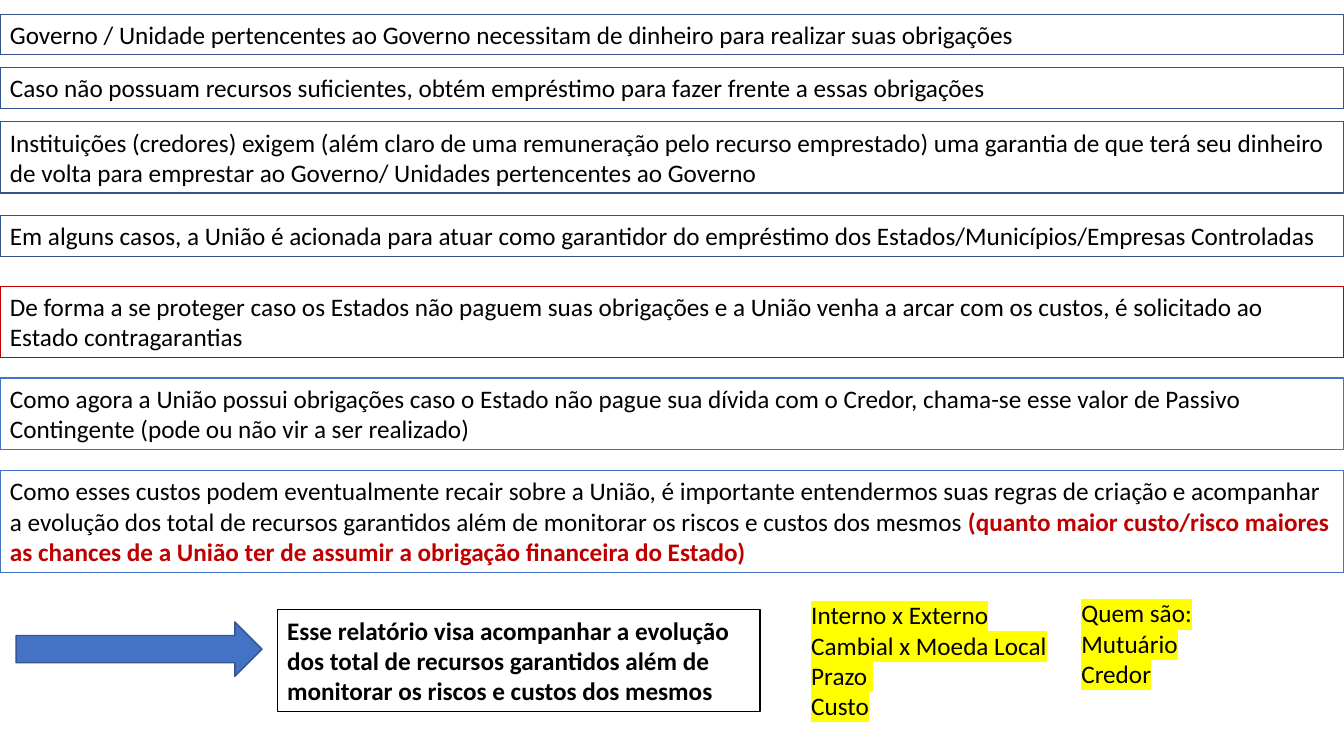
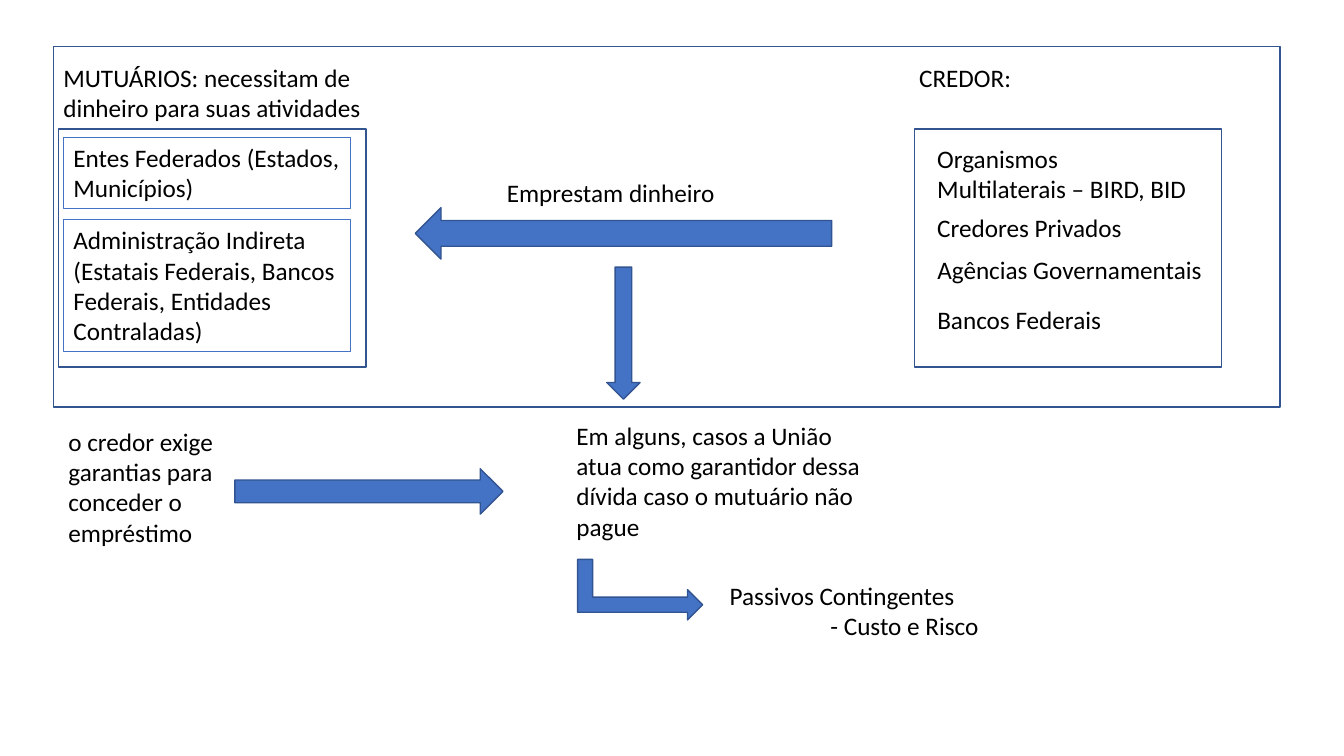
from dataclasses import dataclass

from lxml import etree
from pptx import Presentation
from pptx.dml.color import RGBColor
from pptx.enum.shapes import MSO_SHAPE
from pptx.enum.text import MSO_AUTO_SIZE
from pptx.oxml.ns import qn
from pptx.util import Emu, Inches, Pt

RECTANGLE = MSO_SHAPE.RECTANGLE
RIGHT_ARROW = MSO_SHAPE.RIGHT_ARROW
DOWN_ARROW = MSO_SHAPE.DOWN_ARROW
BENT_ARROW = MSO_SHAPE.BENT_UP_ARROW
FIT_TEXT = MSO_AUTO_SIZE.SHAPE_TO_FIT_TEXT

COLORS = {
    "text": "000000",
    "white": "FFFFFF",
    "blue": "4472C4",
    "navy": "325491",
    "red": "C00000",
    "yellow": "FFFF00",
}
FONT = "Calibri"
FONT_SIZE = 18
BLANK_LAYOUT = 6

# The slide is a grid of 40 columns and 30 rows.
COLUMNS, ROWS = 40, 30
SLIDE_WIDTH, SLIDE_HEIGHT = Emu(12192000), Inches(7.5)
COLUMN, ROW = SLIDE_WIDTH / COLUMNS, SLIDE_HEIGHT / ROWS
LINE_HEIGHT = Pt(FONT_SIZE * 1.21)
TEXT_PADDING = Inches(0.1)


@dataclass(frozen=True)
class Run:
    text: str
    color: str = "text"
    bold: bool = False
    highlight: str | None = None


@dataclass(frozen=True)
class Paragraph:
    runs: tuple[Run, ...]
    indent: float = 0


@dataclass(frozen=True)
class TextBox:
    """Its height follows from the number of text lines."""
    left: float
    top: float
    width: float
    lines: int
    paragraphs: tuple[Paragraph, ...]
    outline: str | None = None
    fill: str | None = None


@dataclass(frozen=True)
class Block:
    """A preset shape without text."""
    left: float
    top: float
    width: float
    height: float
    preset: int = RECTANGLE
    rotation: int = 0
    fill: str | None = "blue"


def rgb(name: str) -> RGBColor:
    return RGBColor.from_string(COLORS[name])


def plain(*texts: str, **style) -> tuple[Paragraph, ...]:
    """Make one paragraph of each text, all in the same style."""
    return tuple(Paragraph((Run(text, **style),)) for text in texts)


def add_run(paragraph, text: str, *, color: str = "text", bold: bool = False,
            highlight: str | None = None) -> None:
    run = paragraph.add_run()
    run.text = text
    font = run.font
    font.name, font.size, font.bold = FONT, Pt(FONT_SIZE), bold
    font.color.rgb = rgb(color)
    if highlight:
        marker = etree.Element(qn("a:highlight"))
        etree.SubElement(marker, qn("a:srgbClr"), val=COLORS[highlight])
        run._r.get_or_add_rPr().find(qn("a:solidFill")).addnext(marker)


def paint(shape, fill: str | None, outline: str | None, weight: float) -> None:
    if fill:
        shape.fill.solid()
        shape.fill.fore_color.rgb = rgb(fill)
    else:
        shape.fill.background()
    if outline:
        shape.line.color.rgb = rgb(outline)
        shape.line.width = Pt(weight)
    else:
        shape.line.fill.background()


def draw_text_box(slide, box: TextBox) -> None:
    shape = slide.shapes.add_textbox(
        round(box.left * COLUMN), round(box.top * ROW),
        round(box.width * COLUMN), TEXT_PADDING + box.lines * LINE_HEIGHT)
    paint(shape, box.fill, box.outline, 0.75)
    frame = shape.text_frame
    frame.word_wrap = True
    frame.auto_size = FIT_TEXT
    for index, content in enumerate(box.paragraphs):
        paragraph = frame.add_paragraph() if index else frame.paragraphs[0]
        if content.indent:
            indent = round(content.indent * COLUMN)
            paragraph._p.get_or_add_pPr().set("marL", str(indent))
        for run in content.runs:
            add_run(paragraph, run.text, color=run.color, bold=run.bold,
                    highlight=run.highlight)


def draw_block(slide, block: Block) -> None:
    shape = slide.shapes.add_shape(
        block.preset, round(block.left * COLUMN), round(block.top * ROW),
        round(block.width * COLUMN), round(block.height * ROW))
    shape.rotation = block.rotation
    shape.shadow.inherit = False
    paint(shape, block.fill, "navy", 1)


def statement(top: float, lines: int, outline: str, *runs: Run,
              fill: str | None = None) -> TextBox:
    """Make a text band as wide as the slide."""
    return TextBox(0, top, COLUMNS, lines, (Paragraph(runs),), outline, fill)


REASONING = (
    statement(0.56, 1, "navy", Run(
        "Governo / Unidade pertencentes ao Governo necessitam de dinheiro "
        "para realizar suas obrigações"), fill="white"),
    statement(2.68, 1, "navy", Run(
        "Caso não possuam recursos suficientes, obtém empréstimo para fazer "
        "frente a essas obrigações")),
    statement(4.84, 2, "navy", Run(
        "Instituições (credores) exigem (além claro de uma remuneração pelo "
        "recurso emprestado) uma garantia de que terá seu dinheiro de volta "
        "para emprestar ao Governo/ Unidades pertencentes ao Governo")),
    statement(8.56, 1, "navy", Run(
        "Em alguns casos, a União é acionada para atuar como garantidor do "
        "empréstimo dos Estados/Municípios/Empresas Controladas")),
    statement(11.36, 2, "red", Run(
        "De forma a se proteger caso os Estados não paguem suas obrigações e "
        "a União venha a arcar com os custos, é solicitado ao Estado "
        "contragarantias")),
    statement(15, 2, "blue", Run(
        "Como agora a União possui obrigações caso o Estado não pague sua "
        "dívida com o Credor, chama-se esse valor de Passivo Contingente "
        "(pode ou não vir a ser realizado)")),
    statement(18.68, 3, "blue", Run(
        "Como esses custos podem eventualmente recair sobre a União, é "
        "importante entendermos suas regras de criação e acompanhar a "
        "evolução dos total de recursos garantidos além de monitorar os "
        "riscos e custos dos mesmos "), Run(
        "(quanto maior custo/risco maiores as chances de a União ter de "
        "assumir a obrigação financeira do Estado)", "red", True)),
    TextBox(8.25, 24.2, 14.37, 3, plain(
        "Esse relatório visa acompanhar a evolução dos total de recursos "
        "garantidos além de monitorar os riscos e custos dos mesmos",
        bold=True), "text"),
    TextBox(23.85, 23.6, 7.62, 4, plain(
        "Interno x Externo", "Cambial x Moeda Local", "Prazo ", "Custo",
        highlight="yellow")),
    TextBox(31.89, 23.52, 7.62, 3, plain(
        "Quem são:", "Mutuário", "Credor", highlight="yellow")),
)
REPORT_ARROW = (Block(0.48, 24.68, 7.32, 2.16, RIGHT_ARROW),)

BORROWER_LEFT, LENDER_LEFT = 1.74, 27.21
PANEL_TOP, PANEL_WIDTH, PANEL_HEIGHT = 5.12, 9.15, 9.44
HEADING_TOP, HEADING_WIDTH, HEADING_SHIFT = 2.28, 9.69, 0.15
BORROWER_ITEM_LEFT, BORROWER_ITEM_WIDTH = 1.89, 8.55
LENDER_ITEM_LEFT = 27.6

LOAN_BLOCKS = (
    Block(1.59, 1.84, 36.51, 14.32, fill=None),
    *(Block(left, PANEL_TOP, PANEL_WIDTH, PANEL_HEIGHT, fill=None)
      for left in (BORROWER_LEFT, LENDER_LEFT)),
    Block(12.36, 8.24, 12.39, 2.04, RIGHT_ARROW, 180),
    Block(18.06, 10.6, 0.99, 5.24, DOWN_ARROW),
    Block(18.15, 20.92, 1.8, 4.96, BENT_ARROW, 90),
    Block(6.99, 18.6, 7.98, 1.8, RIGHT_ARROW),
)
LOAN_TEXTS = (
    *(TextBox(left - HEADING_SHIFT, HEADING_TOP, HEADING_WIDTH, lines, plain(text))
      for left, lines, text in (
          (BORROWER_LEFT, 2, "MUTUÁRIOS: necessitam de dinheiro para suas atividades"),
          (LENDER_LEFT, 1, "CREDOR:"))),
    *(TextBox(BORROWER_ITEM_LEFT, top, BORROWER_ITEM_WIDTH, lines, plain(text), "blue")
      for top, lines, text in (
          (5.44, 2, "Entes Federados (Estados, Municípios)"),
          (8.72, 4, "Administração Indireta (Estatais Federais, Bancos "
                    "Federais, Entidades Contraladas)"))),
    *(TextBox(LENDER_ITEM_LEFT, top, width, lines, plain(text))
      for top, width, lines, text in (
          (5.48, 8.1, 2, "Organismos Multilaterais – BIRD, BID"),
          (8.24, 8.1, 1, "Credores Privados"),
          (9.88, 8.73, 1, "Agências Governamentais"),
          (11.88, 8.73, 1, "Bancos Federais"))),
    TextBox(14.79, 6.84, 8.82, 1, plain("Emprestam dinheiro")),
    TextBox(16.86, 16.48, 9.15, 4, plain(
        "Em alguns, casos a União",
        "atua como garantidor dessa dívida caso o mutuário não pague")),
    TextBox(1.74, 16.72, 6.45, 4, plain(
        "o credor exige garantias para conceder o empréstimo")),
    TextBox(21.42, 22.84, 9.15, 2, (
        Paragraph((Run("Passivos Contingentes"),)),
        Paragraph((Run("- Custo e Risco"),), indent=3))),
)


def add_slide(presentation, blocks: tuple[Block, ...],
              texts: tuple[TextBox, ...]) -> None:
    slide = presentation.slides.add_slide(presentation.slide_layouts[BLANK_LAYOUT])
    for block in blocks:
        draw_block(slide, block)
    for box in texts:
        draw_text_box(slide, box)


def main() -> None:
    presentation = Presentation()
    presentation.slide_width = SLIDE_WIDTH
    presentation.slide_height = SLIDE_HEIGHT
    add_slide(presentation, REPORT_ARROW, REASONING)
    add_slide(presentation, LOAN_BLOCKS, LOAN_TEXTS)
    presentation.save("out.pptx")


if __name__ == "__main__":
    main()
